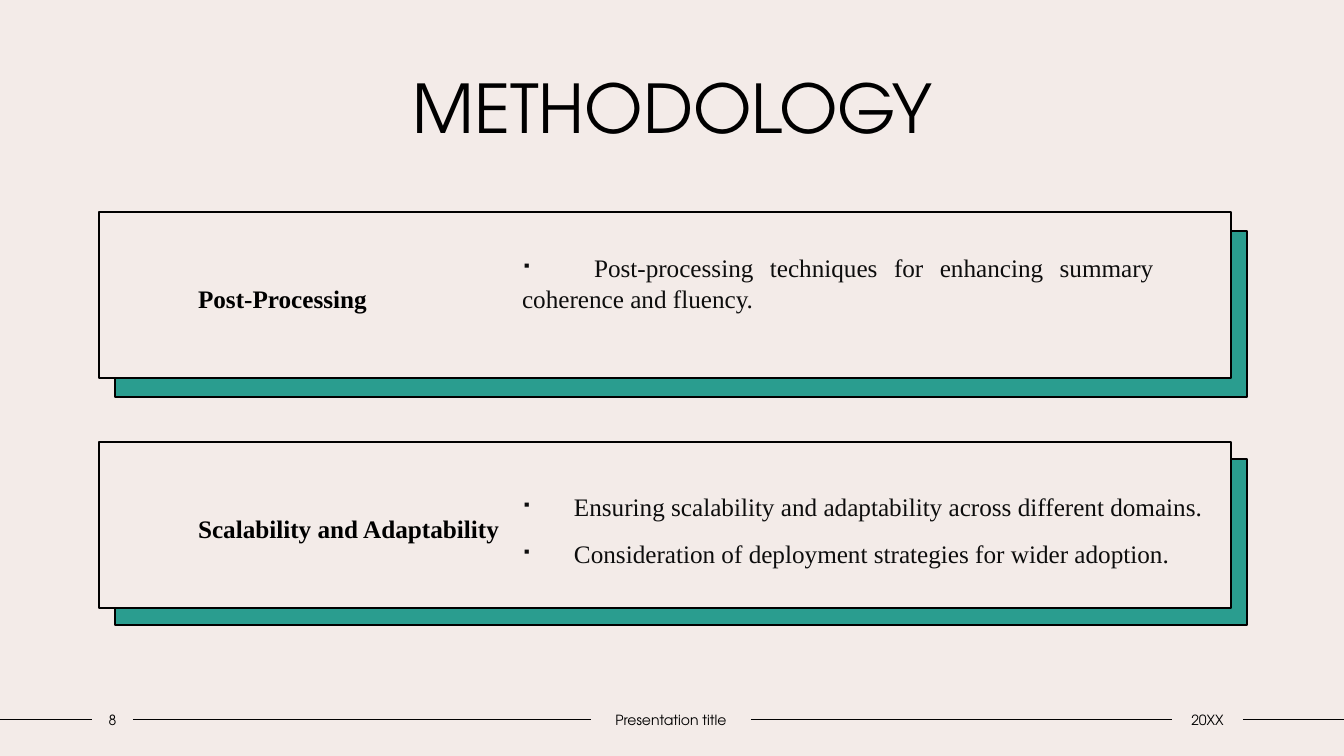
import pptx
import pptx.dml.color
import pptx.enum.shapes
import pptx.enum.text
import pptx.oxml.ns
import pptx.util
from lxml import etree

PX = 914400 / 100.8
ALIGN = pptx.enum.text.PP_ALIGN
ANCHOR = pptx.enum.text.MSO_ANCHOR
RECTANGLE = pptx.enum.shapes.MSO_SHAPE.RECTANGLE
STRAIGHT = pptx.enum.shapes.MSO_CONNECTOR.STRAIGHT
DISPLAY_FONT = "TeX Gyre Adventor"
TEXT_FONT = "Times New Roman"
BACKGROUND = "F3EBE8"
TEAL = "2A9D8F"
BLACK = "000000"
BODY_COLOR = "0D0D0D"
LEFT_SIDE, RIGHT_SIDE = 1, 3


def px(length):
    return pptx.util.Emu(round(length * PX))


def color(hex_string):
    return pptx.dml.color.RGBColor.from_string(hex_string)


def add_element(parent, tag, **attributes):
    element = etree.SubElement(parent, pptx.oxml.ns.qn(tag))
    for name, value in attributes.items():
        element.set(name, str(value))
    return element


def set_frame(frame, left=10, top=5, right=10, bottom=5):
    frame.word_wrap = True
    frame.vertical_anchor = ANCHOR.MIDDLE
    frame.margin_left, frame.margin_top = px(left), px(top)
    frame.margin_right, frame.margin_bottom = px(right), px(bottom)


def write(paragraph, text, font_name, size, text_color, align, bold=False):
    paragraph.text = text
    paragraph.alignment = align
    font = paragraph.font
    font.name, font.size, font.bold = font_name, pptx.util.Pt(size), bold
    font.color.rgb = color(text_color)


def add_bullet(paragraph, hanging, tab):
    properties = paragraph._p.get_or_add_pPr()
    properties.set("marL", str(px(hanging)))
    properties.set("indent", str(-px(hanging)))
    add_element(properties, "a:buSzPct", val=50000)
    add_element(properties, "a:buChar", char="▪")
    if tab:
        tabs = add_element(properties, "a:tabLst")
        add_element(tabs, "a:tab", pos=px(tab), algn="l")


def add_title(slide, left, top, width, height):
    title = slide.shapes.title
    title.left, title.top, title.width, title.height = map(px, (left, top, width, height))
    set_frame(title.text_frame)
    paragraph = title.text_frame.paragraphs[0]
    write(paragraph, "METHODOLOGY", DISPLAY_FONT, 48, BLACK, ALIGN.CENTER)
    paragraph.line_spacing = 0.9


def add_panel(slide, left, top, width, height, fill):
    panel = slide.shapes.add_shape(RECTANGLE, *map(px, (left, top, width, height)))
    panel.shadow.inherit = False
    panel.fill.solid()
    panel.fill.fore_color.rgb = color(fill)
    panel.line.color.rgb = color(BLACK)
    panel.line.width = pptx.util.Pt(2)
    return panel


def add_card(slide, left, top, width, height, drop, heading, points,
             body_width, lift, hanging=0, tab=0):
    add_panel(slide, left + 16, top + drop, width, height, TEAL)
    card = add_panel(slide, left, top, width, height, BACKGROUND)
    set_frame(card.text_frame, left=99, right=716)
    label = card.text_frame.paragraphs[0]
    write(label, heading, TEXT_FONT, 18, BLACK, ALIGN.LEFT, bold=True)
    label.line_spacing = 1.2

    body = slide.shapes.add_textbox(
        *map(px, (left + 413, top + 10, body_width, height - 20)))
    frame = body.text_frame
    set_frame(frame, bottom=5 + 2 * lift)
    for index, point in enumerate(points):
        paragraph = frame.add_paragraph() if index else frame.paragraphs[0]
        add_bullet(paragraph, hanging, tab)
        write(paragraph, point, TEXT_FONT, 18, BODY_COLOR, ALIGN.JUSTIFY)
        if index:
            paragraph.space_before = pptx.util.Pt(12)


def add_rule(slide, start, end, middle, start_label=None, end_label=None):
    rule = slide.shapes.add_connector(
        STRAIGHT, px(start), px(middle), px(end), px(middle))
    if start_label is not None:
        rule.begin_connect(start_label, RIGHT_SIDE)
    if end_label is not None:
        rule.end_connect(end_label, LEFT_SIDE)
    rule.line.color.rgb = color(BLACK)
    rule.line.width = pptx.util.Pt(1)
    add_element(rule._element.spPr, "a:effectLst")


def add_footer(slide, left, top, width, height):
    previous, start = None, left
    middle = top + height / 2
    for text, offset, label_width in (
            ("8", 92, 41), ("Presentation title", 591, 160), ("20XX", 1172, 71)):
        label = slide.shapes.add_textbox(
            *map(px, (left + offset, top, label_width, height)))
        set_frame(label.text_frame, left=0, right=0)
        write(label.text_frame.paragraphs[0], text, DISPLAY_FONT, 10, BLACK, ALIGN.CENTER)
        add_rule(slide, start, left + offset, middle, previous, label)
        previous, start = label, left + offset + label_width
    add_rule(slide, start, left + width, middle, previous)


def add_methodology_slide(presentation):
    slide = presentation.slides.add_slide(presentation.slide_layouts[5])
    slide.background.fill.solid()
    slide.background.fill.fore_color.rgb = color(BACKGROUND)
    add_title(slide, 126, 56, 1093, 112)
    add_card(slide, 99, 212, 1132, 166, 19, "Post-Processing",
             ["\tPost-processing techniques for enhancing summary coherence and fluency."],
             body_width=652, lift=12, tab=72)
    add_card(slide, 99, 442, 1132, 166, 17, "Scalability and Adaptability",
             ["Ensuring scalability and adaptability across different domains.",
              "Consideration of deployment strategies for wider adoption."],
             body_width=707, lift=-5, hanging=52)
    add_footer(slide, 0, 706, 1344, 27)


def main():
    presentation = pptx.Presentation()
    presentation.slide_width, presentation.slide_height = px(1344), px(756)
    add_methodology_slide(presentation)
    presentation.save("out.pptx")


if __name__ == "__main__":
    main()
